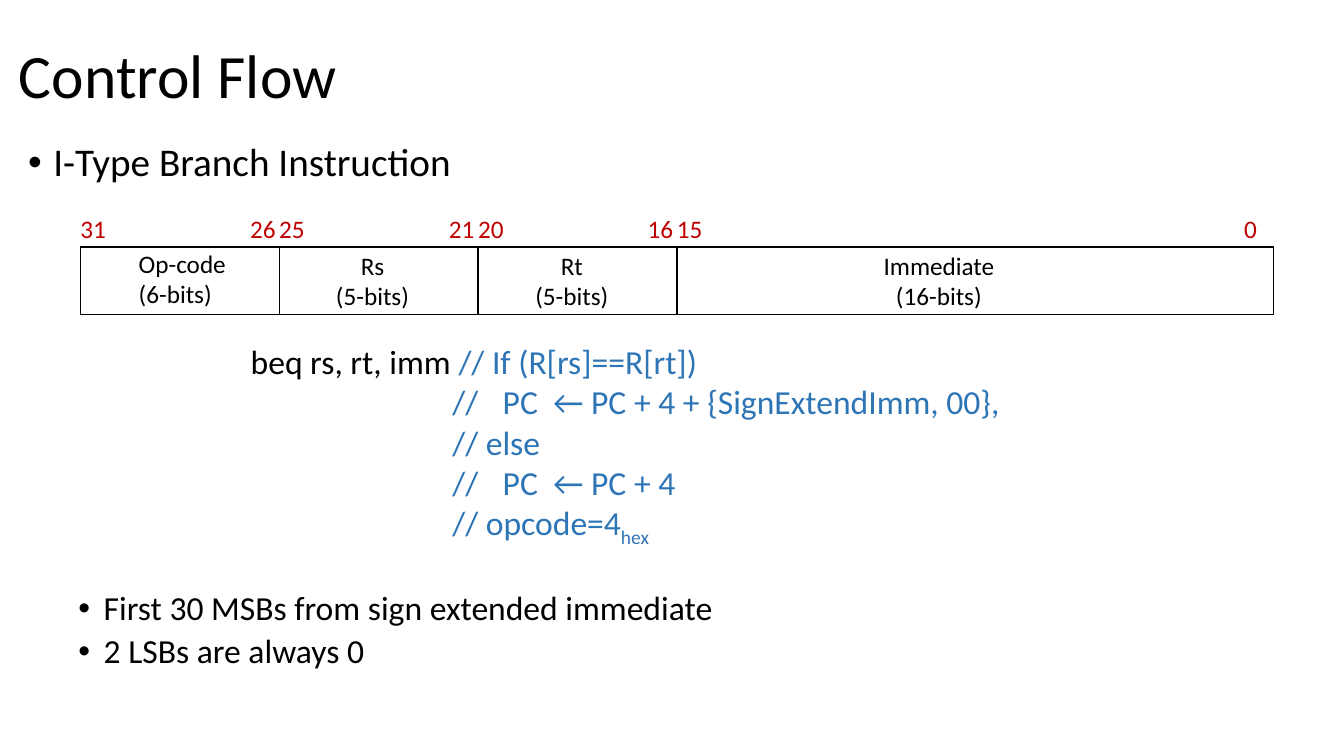
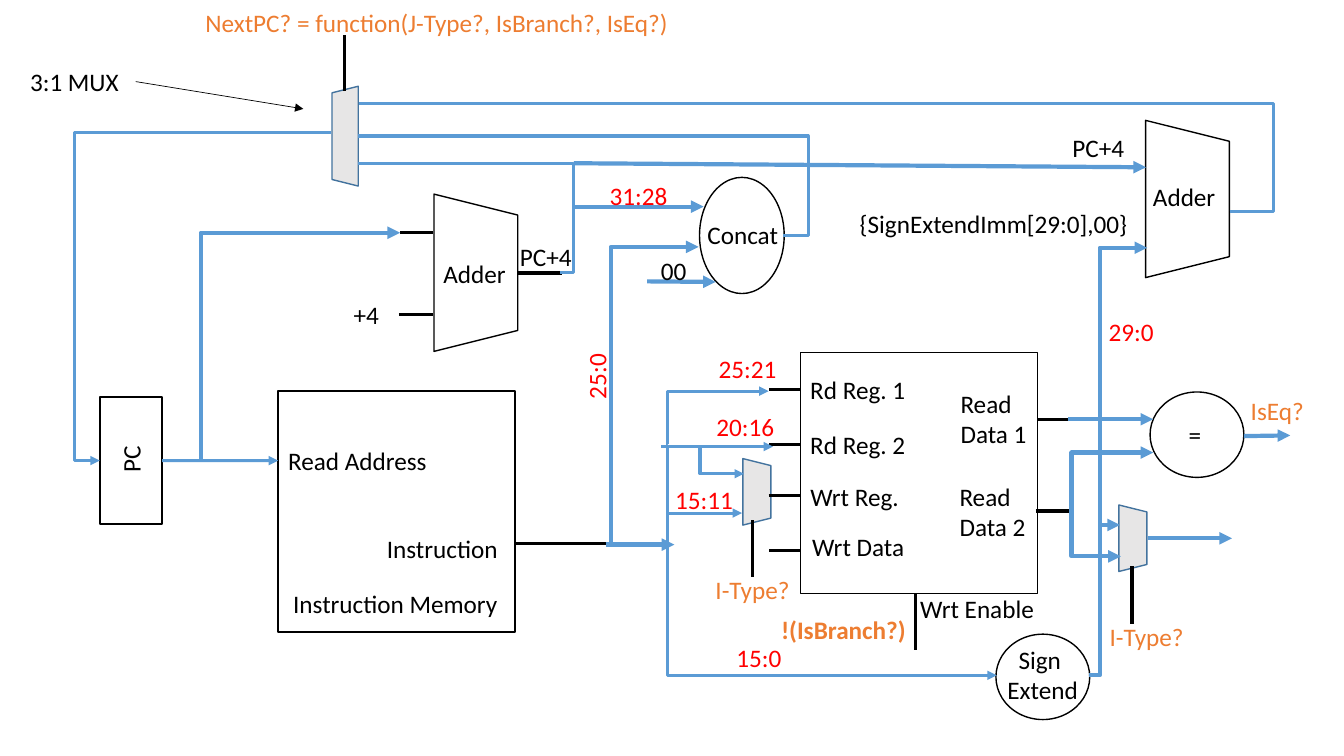
from dataclasses import dataclass
from lxml.etree import SubElement as Sub
from pptx import Presentation
from pptx.dml.color import RGBColor as Rgb
from pptx.enum.shapes import MSO_CONNECTOR as Link, MSO_SHAPE as Kind
from pptx.enum.text import MSO_ANCHOR as Anchor, MSO_AUTO_SIZE as Auto, PP_ALIGN as Align
from pptx.oxml.ns import qn
from pptx.util import Pt


@dataclass(frozen=True)
class Theme:
    font: str = "Calibri"
    ink: str = "000000"
    red: str = "FF0000"
    dark: str = "C00000"
    note: str = "2E75B6"
    wire: str = "5B9BD5"
    flag: str = "ED7D31"
    grey: str = "E7E6E6"
    rim: str = "43739E"
    title: int = 44
    head: int = 28
    body: int = 24
    label: int = 18
    hair: float = 0.5
    edge: float = 1
    thin: float = 2.25
    bold: float = 3


class Deck:
    def __init__(self, theme):
        self.theme = theme
        self.file = Presentation()
        self.file.slide_width, self.file.slide_height = Pt(960), Pt(540)
        self.slide = None

    def page(self):
        self.slide = self.file.slides.add_slide(self.file.slide_layouts[6])

    def style(self, run, size, color, bold=False):
        run.font.name = self.theme.font
        run.font.size = Pt(size)
        run.font.bold = bold
        run.font.color.rgb = Rgb.from_string(color)

    def text(self, x, y, w, words, color=None, size=None, h=None,
             align=Align.LEFT, turn=0, bold=False, wrap=False):
        size = size or self.theme.label
        lines = words.count("\n") + 1
        box = self.slide.shapes.add_textbox(
            Pt(x), Pt(y), Pt(w), Pt(h or lines * size * 1.2 + 7.2))
        box.rotation = turn
        frame = box.text_frame
        frame.word_wrap = wrap
        frame.auto_size = Auto.NONE if wrap else Auto.SHAPE_TO_FIT_TEXT
        frame.text = words
        for para in frame.paragraphs:
            para.alignment = align
            for run in para.runs:
                self.style(run, size, color or self.theme.ink, bold)
        return frame

    def title(self, words):
        frame = self.text(6.5, 3.6, 828, words, size=self.theme.title,
                          h=104.4, wrap=True)
        frame.vertical_anchor = Anchor.MIDDLE
        frame.paragraphs[0].line_spacing = 0.9

    def bullets(self, y, words, size, left, gap):
        frame = self.text(13, y, 828, words, size=size, wrap=True)
        for para in frame.paragraphs:
            para.line_spacing = 0.9
            para.space_before = Pt(gap)
            props = para._p.get_or_add_pPr()
            props.set("marL", str(Pt(left)))
            props.set("indent", str(Pt(-18)))
            Sub(props, qn("a:buFont")).set("typeface", "Arial")
            Sub(props, qn("a:buChar")).set("char", "•")

    def shape(self, kind, x, y, w, h, fill=None, line=None):
        item = self.slide.shapes.add_shape(kind, Pt(x), Pt(y), Pt(w), Pt(h))
        item.shadow.inherit = False
        if fill:
            item.fill.solid()
            item.fill.fore_color.rgb = Rgb.from_string(fill)
        else:
            item.fill.background()
        item.line.color.rgb = Rgb.from_string(line or self.theme.ink)
        item.line.width = Pt(self.theme.edge)
        return item

    def trap(self, x, y, w, h, turn=90, **look):
        shift = (w - h) / 2
        item = self.shape(Kind.TRAPEZOID, x + shift, y - shift, h, w, **look)
        item.rotation = turn

    def mux(self, x, y, w, h, turn=90):
        self.trap(x, y, w, h, turn, fill=self.theme.grey, line=self.theme.rim)

    def line(self, x1, y1, x2, y2, color, width, via=None, arrow=False):
        kind = Link.STRAIGHT if via is None else Link.ELBOW
        item = self.slide.shapes.add_connector(
            kind, Pt(x1), Pt(y1), Pt(x2), Pt(y2))
        item.line.color.rgb = Rgb.from_string(color)
        item.line.width = Pt(width)
        props = item._element.spPr
        if via is not None:
            bend = props.find(qn("a:prstGeom")).find(qn("a:avLst"))
            guide = Sub(bend, qn("a:gd"))
            guide.set("name", "adj1")
            guide.set("fmla", f"val {round((via - x1) / (x2 - x1) * 100000)}")
        if arrow:
            Sub(props.find(qn("a:ln")), qn("a:tailEnd")).set("type", "triangle")
        Sub(props, qn("a:effectLst"))
        return item


def format_page(deck):
    look = deck.theme
    deck.page()
    deck.title("Control Flow")
    deck.bullets(98.6, "I-Type Branch Instruction", look.head, 18, 10)
    deck.bullets(419, "First 30 MSBs from sign extended immediate\n"
                 "2 LSBs are always 0", look.body, 54, 5)

    code = deck.text(
        172, 240, 595.5,
        "beq rs, rt, imm \n//\tPC  ← PC + 4 + {SignExtendImm, 00},\n"
        "// else\n//\tPC  ← PC + 4\n// opcode=4", look.note, look.body)
    first, *rest = code.paragraphs
    deck.style(first.runs[0], look.body, look.ink)
    test = first.add_run()
    test.text = "// If (R[rs]==R[rt])"
    deck.style(test, look.body, look.note)
    for para in rest:
        props = para._p.get_or_add_pPr()
        props.set("marL", str(Pt(144)))
        props.set("indent", "0")
    base = rest[-1].add_run()
    base.text = "hex"
    deck.style(base, look.body, look.note)
    base.font._element.set("baseline", "-25000")

    unit, left = 142, 57.6
    fields = [
        ("Op-code\n(6-bits)", 1, "31", "26", 92, 173.5, 78, Align.LEFT),
        ("Rs\n(5-bits)", 1, "25", "21", 232.6, 175, 67, Align.CENTER),
        ("Rt\n(5-bits)", 1, "20", "16", 375, 175, 67, Align.CENTER),
        ("Immediate\n(16-bits)", 3, "15", "0", 623.5, 175, 94.3, Align.CENTER),
    ]
    for name, span, high, low, x, y, w, align in fields:
        width = span * unit
        deck.shape(Kind.RECTANGLE, left, 176.4, width, 48.2)
        deck.text(x, y, w, name, align=align)
        deck.text(left - 7.2, 149, 33, high, look.dark)
        deck.text(left + width - 28, 149, 14.4 + 9.3 * len(low), low, look.dark)
        left += width


def path_page(deck):
    look = deck.theme
    deck.page()
    deck.shape(Kind.RECTANGLE, 571.7, 252, 169.2, 172)
    deck.shape(Kind.RECTANGLE, 198.7, 279.4, 169.2, 172)
    count = deck.shape(Kind.RECTANGLE, 71.3, 283.7, 44.6, 90.7)
    for x, y, w, h in [(711.4, 453, 67, 61), (499.7, 126.7, 60.5, 83),
                       (821.5, 280, 67, 61)]:
        deck.shape(Kind.OVAL, x, y, w, h)
    for x, y in [(310, 138.7), (818.3, 86)]:
        deck.trap(x, y, 59.8, 112.3)
    for x, y in [(530.6, 327.6), (799.2, 360.7)]:
        deck.mux(x, y, 20, 47.5)
    deck.mux(237.2, 61.6, 18.7, 71.3, 270)

    pins = [
        (549.4, 278, 571.7, 278), (549.4, 317.5, 571.7, 317.5),
        (549, 354.2, 571.7, 354.2), (549.4, 393, 571.7, 393),
        (741, 299.5, 763, 299.5), (740, 365, 766, 365),
        (653.8, 424, 653.8, 464.4), (537.8, 412, 537.8, 371.5),
        (808.6, 404.6, 808.6, 445.7), (368.6, 388, 439, 388),
        (369.4, 195, 401.8, 195), (285.8, 166.3, 309.6, 166.3),
        (285, 224.6, 309, 224.6), (246.2, 64.8, 246.2, 25.2),
    ]
    for ends in pins:
        deck.line(*ends, look.ink, look.thin)
    deck.line(97, 58.3, 216.7, 77.8, look.ink, look.hair, arrow=True)

    fetch = deck.line(115.9, 329, 198.7, 329, look.wire, look.thin, arrow=True)
    fetch.begin_connect(count, 3)
    thin = [
        (472.3, 319, 552.2, 319, None), (477, 317, 549, 279.4, 477),
        (476, 318.5, 530, 366.5, 477), (477, 318.5, 712, 482.4, 477),
        (500, 319.7, 531.4, 338.4, 500), (236.5, 94.4, 71.3, 329, 53.3),
    ]
    bold = [
        (763, 299.5, 823.7, 299.5, None), (820, 384.5, 880, 384.5, None),
        (410, 147.6, 502.6, 147.6, None), (462.2, 201, 511.2, 201.4, None),
        (432.7, 389, 481.7, 389, None), (410, 116.6, 818.6, 119.5, None),
        (888.5, 311.5, 921.6, 311, None),
        (777.6, 482.4, 800, 375, 785.5), (764, 365, 800.6, 397.4, 765.4),
        (764.6, 365, 823.7, 323.3, 765.4), (143.3, 329, 285.8, 166.3, 143.3),
        (436.3, 387.4, 499, 176.4, 436.3), (785.5, 377.3, 819.4, 177, 785.5),
    ]
    back = [
        (400.3, 195, 256, 116.6, 410), (559.4, 168.5, 256, 97.2, 577.4),
        (878.4, 151.2, 256.5, 74.2, 909.4),
    ]
    for group, width, arrow in [(thin, look.thin, True), (bold, look.bold, True),
                                (back, look.thin, False)]:
        for *ends, via in group:
            deck.line(*ends, look.wire, width, via, arrow)

    names = [
        (571.7, 263.5, 83.5, "Rd Reg. 1"), (571.7, 303, 83.5, "Rd Reg. 2"),
        (571.7, 340, 78.5, "Wrt Reg."), (573, 376, 81.4, "Wrt Data"),
        (679, 273.6, 62, "Read\nData 1"), (678.3, 340, 62, "Read\nData 2"),
        (650.2, 420.5, 96.5, "Wrt Enable"),
        (198.7, 314.6, 114.5, "Read Address"), (269.3, 377.3, 98.6, "Instruction"),
        (202.3, 417, 162, "Instruction Memory"), (309.6, 180.7, 59.8, "Adder"),
        (816.5, 126, 59.8, "Adder"), (245.5, 210.2, 33, "+4"),
        (498.2, 153.4, 65.5, "Concat"), (364.3, 168.5, 52, "PC+4"),
        (759, 90.7, 52, "PC+4"), (465, 178.6, 33, "00"),
        (607, 145.4, 207.4, "{SignExtendImm[29:0],00}"),
        (14.4, 44, 83, "3:1 MUX"),
    ]
    bits = [
        (506.2, 249, 56, "25:21"), (504.7, 290.2, 56, "20:16"),
        (475.2, 342.7, 56, "15:11"), (519, 455, 47, "15:0"),
        (428.4, 125.3, 56, "31:28"), (784.8, 222.5, 47, "29:0"),
    ]
    flags = [
        (504, 406.8, 67.7, "I-Type?"), (785.5, 440.6, 67.7, "I-Type?"),
        (139.7, 1.5, 348.5, "NextPC? = function(J-Type?, IsBranch?, IsEq?)"),
        (886.3, 278.6, 52.6, "IsEq?"),
    ]
    for group, color in [(names, look.ink), (bits, look.red), (flags, look.flag)]:
        for item in group:
            deck.text(*item, color)
    deck.text(550.8, 435, 104.4, "!(IsBranch?)", look.flag, bold=True)
    deck.text(712, 456.5, 65.5, "Sign \nExtend", align=Align.CENTER)
    deck.text(841.7, 296, 23.8, "=", align=Align.CENTER)
    deck.text(76.3, 313.2, 34, "PC", turn=270)
    deck.text(402.5, 254.2, 47, "25:0", look.red, turn=270)


def main():
    deck = Deck(Theme())
    format_page(deck)
    path_page(deck)
    deck.file.save("out.pptx")


if __name__ == "__main__":
    main()
